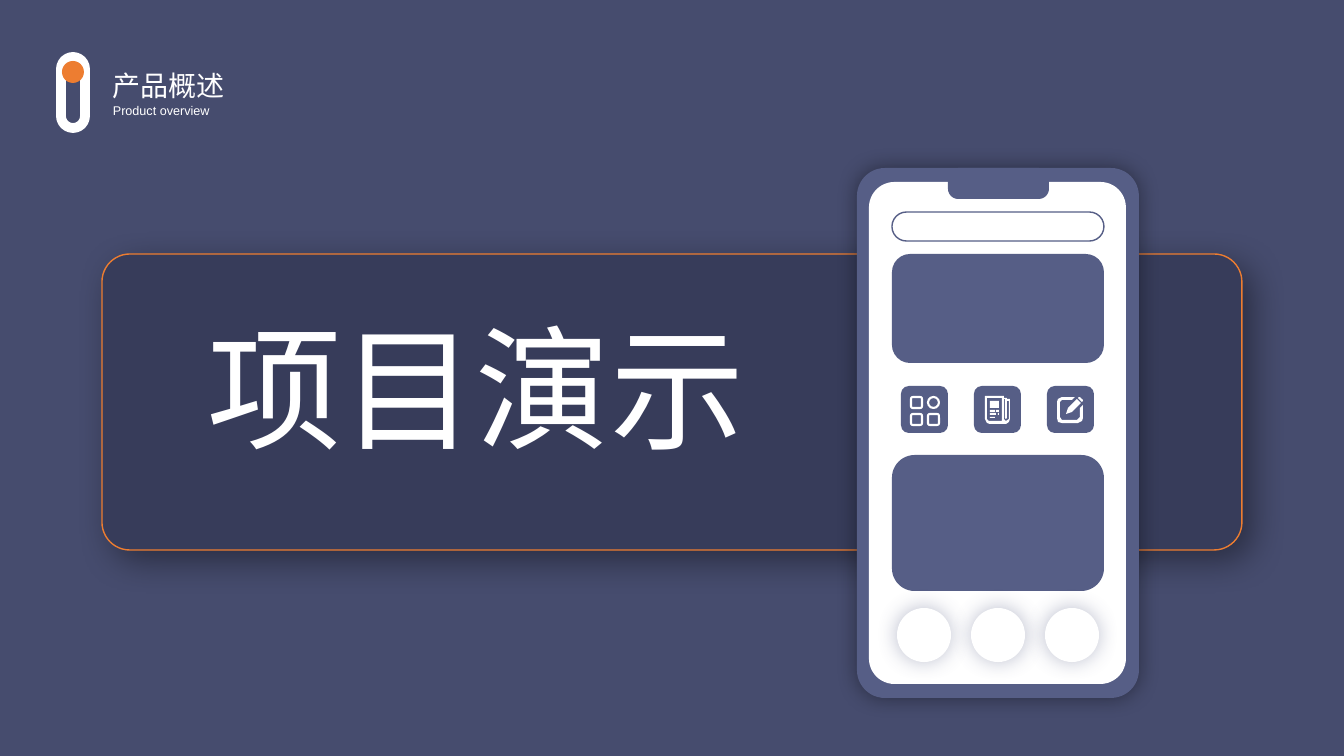
from lxml.etree import SubElement
from pptx import Presentation
from pptx.dml.color import RGBColor
from pptx.enum.shapes import MSO_SHAPE
from pptx.enum.text import MSO_ANCHOR, MSO_AUTO_SIZE, PP_ALIGN
from pptx.oxml.ns import qn
from pptx.util import Pt

# Content
TITLE = "项目演示"
HEADING = [("产品概述", 20), ("Product overview", 9)]
FONT = "Arial"

WHITE, ORANGE, BLUE = "FFFFFF", "ED7D31", "565E86"
BACKGROUND, PANEL = "464C6E", "373C5A"

# Boxes are left, top, width, height in px
PAGE_SIZE = (1344, 756)
TITLE_BOX = (197, 300, 590, 173)
HEADING_BOX = (103, 64, 162, 59)
BANNER = (102, 254, 1140, 296)
PIN_BODY, PIN_DOT = (61, 57, 24, 71), (62, 61, 22, 22)
PHONE, SCREEN, NOTCH = (857, 168, 282, 530), (869, 182, 257, 502), (948, 168, 101, 31)
SEARCH = (892, 212, 212, 29)
CARDS = [(892, 254, 212, 109), (892, 455, 212, 136)]
TILE_LEFT, TILE_TOP, TILE_SIZE, TILE_STEP = 901, 386, 47, 73
BUTTON_LEFT, BUTTON_TOP, BUTTON_SIZE, BUTTON_STEP = 897, 608, 54, 74
CELL_SIZE, CELL_STEP, CELL_INSET = 11, 17, 10

# Icon outlines, in px from the icon's own corner
NEWS_ORIGIN = (985, 396)
NEWS_OUTLINES = [
    [(21, 28), (5, 28), (2, 27), (0, 23), (0, 0), (19, 0), (19, 2), (22, 2),
     (22, 3), (25, 3), (25, 23), (24, 26)],
    [(17, 2), (2, 2), (2, 23), (4, 25), (17, 25)],
    [(24, 5), (22, 5), (22, 22), (21, 23), (20, 22), (20, 3), (19, 3),
     (19, 23), (21, 25), (24, 23)],
]
NEWS_BARS = [(5, 5, 14, 12), (5, 14, 10, 16), (11, 14, 14, 16),
             (5, 17, 11, 19), (13, 17, 14, 19), (5, 21, 10, 22)]
NEWS_OUTLINES += [[(x1, y1), (x2, y1), (x2, y2), (x1, y2)] for x1, y1, x2, y2 in NEWS_BARS]
EDIT_ORIGIN = (1057, 397)
EDIT_OUTLINES = [
    [(26, 4), (25, 5), (21, 1), (22, 0), (23, 0), (26, 3)],
    [(15, 15), (11, 11), (20, 2), (24, 6)],
    [(15, 15), (9, 17), (11, 11)],
    [(5, 3), (3, 5), (3, 20), (5, 23), (20, 23), (23, 20), (23, 11), (26, 8),
     (26, 21), (25, 24), (21, 26), (5, 26), (1, 25), (0, 21), (0, 5), (1, 2),
     (5, 0), (18, 0), (15, 3)],
]

EMU_PER_PX = 914400 / 100.8
ROUND, OVAL, TILE = MSO_SHAPE.ROUNDED_RECTANGLE, MSO_SHAPE.OVAL, MSO_SHAPE.FLOWCHART_ALTERNATE_PROCESS


def px(length):
    return round(length * EMU_PER_PX)


def color(value):
    return RGBColor.from_string(value)


def paint(shape, fill=None, line=None, width=1):
    shape.shadow.inherit = False
    if fill:
        shape.fill.solid()
        shape.fill.fore_color.rgb = color(fill)
    else:
        shape.fill.background()
    if line:
        shape.line.color.rgb = color(line)
        shape.line.width = Pt(width)
    else:
        shape.line.fill.background()


def add_part(shapes, kind, box, corner=None, **style):
    shape = shapes.add_shape(kind, *map(px, box))
    if corner is not None:
        shape.adjustments[0] = corner
    paint(shape, **style)
    return shape


def add_shadow(shape, tone, blur, distance=0, degrees=0):
    effects = shape.element.spPr.find(qn("a:effectLst"))
    shadow = SubElement(effects, qn("a:outerShdw"), blurRad=str(Pt(blur)), dist=str(Pt(distance)),
                        dir=str(degrees * 60000), algn="tl" if distance else "ctr", rotWithShape="0")
    tint = SubElement(shadow, qn("a:srgbClr"), val=tone)
    SubElement(tint, qn("a:alpha"), val="40000")


def add_icon(shapes, origin, outlines):
    left, top = origin
    contours = [[(left + x, top + y) for x, y in outline] for outline in outlines]
    builder = shapes.build_freeform(*contours[0][0], scale=EMU_PER_PX)
    for number, points in enumerate(contours):
        if number:
            builder.move_to(*points[0])
        builder.add_line_segments(points[1:], close=True)
    paint(builder.convert_to_shape(), fill=WHITE)


def write(para, text, size, align):
    para.alignment = align
    span = para.add_run()
    span.text = text
    span.font.name = FONT
    span.font.size = Pt(size)
    span.font.color.rgb = color(WHITE)


deck = Presentation()
deck.slide_width, deck.slide_height = map(px, PAGE_SIZE)
page = deck.slides.add_slide(deck.slide_layouts[5])
page.background.fill.solid()
page.background.fill.fore_color.rgb = color(BACKGROUND)

# Banner with the title in front of it
title = page.shapes.title
title.left, title.top, title.width, title.height = map(px, TITLE_BOX)
title.text_frame.auto_size = MSO_AUTO_SIZE.NONE
title.text_frame.vertical_anchor = MSO_ANCHOR.TOP
write(title.text_frame.paragraphs[0], TITLE, 96, PP_ALIGN.LEFT)
banner = add_part(page.shapes, ROUND, BANNER, 0.094, fill=PANEL, line=ORANGE)
add_shadow(banner, "000000", 25, 10, 45)
title.element.addprevious(banner.element)

# Pin beside the heading
pin = page.shapes.add_group_shape().shapes
add_part(pin, ROUND, PIN_BODY, 0.5, line=WHITE, width=7)
add_part(pin, OVAL, PIN_DOT, fill=ORANGE)

# Phone frame, search field and cards
phone = page.shapes.add_group_shape().shapes
frame = add_part(phone, ROUND, PHONE, 0.099, fill=BLUE)
add_shadow(frame, "000000", 15)
add_part(phone, ROUND, SCREEN, 0.099, fill=WHITE)
add_part(phone, ROUND, NOTCH, 0.33, fill=BLUE)
add_part(phone, ROUND, SEARCH, 0.5, line=BLUE)
for card in CARDS:
    add_part(phone, ROUND, card, fill=BLUE)

# Three icon tiles and three round buttons
for column in range(3):
    tile = (TILE_LEFT + column * TILE_STEP, TILE_TOP, TILE_SIZE, TILE_SIZE)
    add_part(phone, TILE, tile, fill=BLUE)
    button = (BUTTON_LEFT + column * BUTTON_STEP, BUTTON_TOP, BUTTON_SIZE, BUTTON_SIZE)
    add_shadow(add_part(phone, OVAL, button, fill=WHITE), BLUE, 15)
for column, row in [(0, 0), (0, 1), (1, 1), (1, 0)]:
    cell = (TILE_LEFT + CELL_INSET + column * CELL_STEP,
            TILE_TOP + CELL_INSET + 1 + row * CELL_STEP, CELL_SIZE, CELL_SIZE)
    add_part(phone, OVAL if (column, row) == (1, 0) else TILE, cell, line=WHITE, width=1.5)
add_icon(phone, NEWS_ORIGIN, NEWS_OUTLINES)
add_icon(phone, EDIT_ORIGIN, EDIT_OUTLINES)

# Heading
heading = page.shapes.add_textbox(*map(px, HEADING_BOX)).text_frame
heading.word_wrap = True
for number, (text, size) in enumerate(HEADING):
    para = heading.add_paragraph() if number else heading.paragraphs[0]
    write(para, text, size, PP_ALIGN.JUSTIFY)

deck.save("out.pptx")
